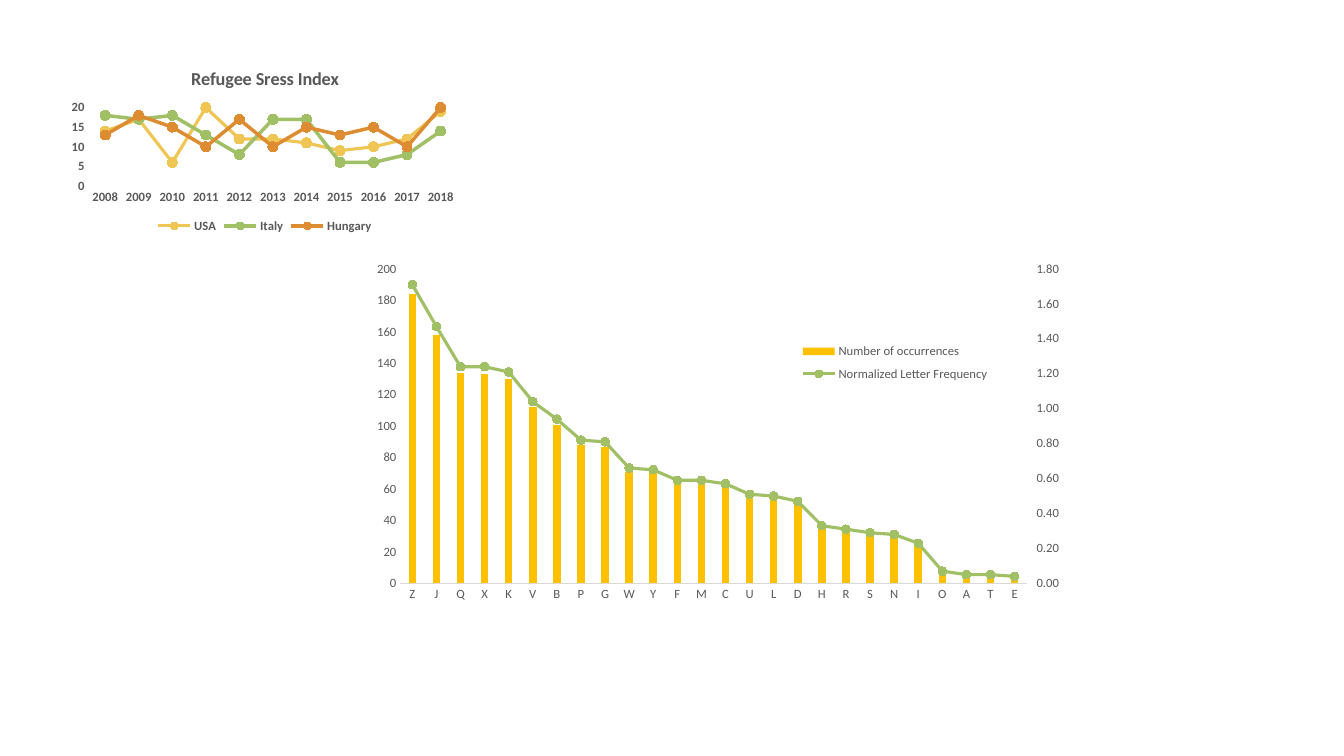
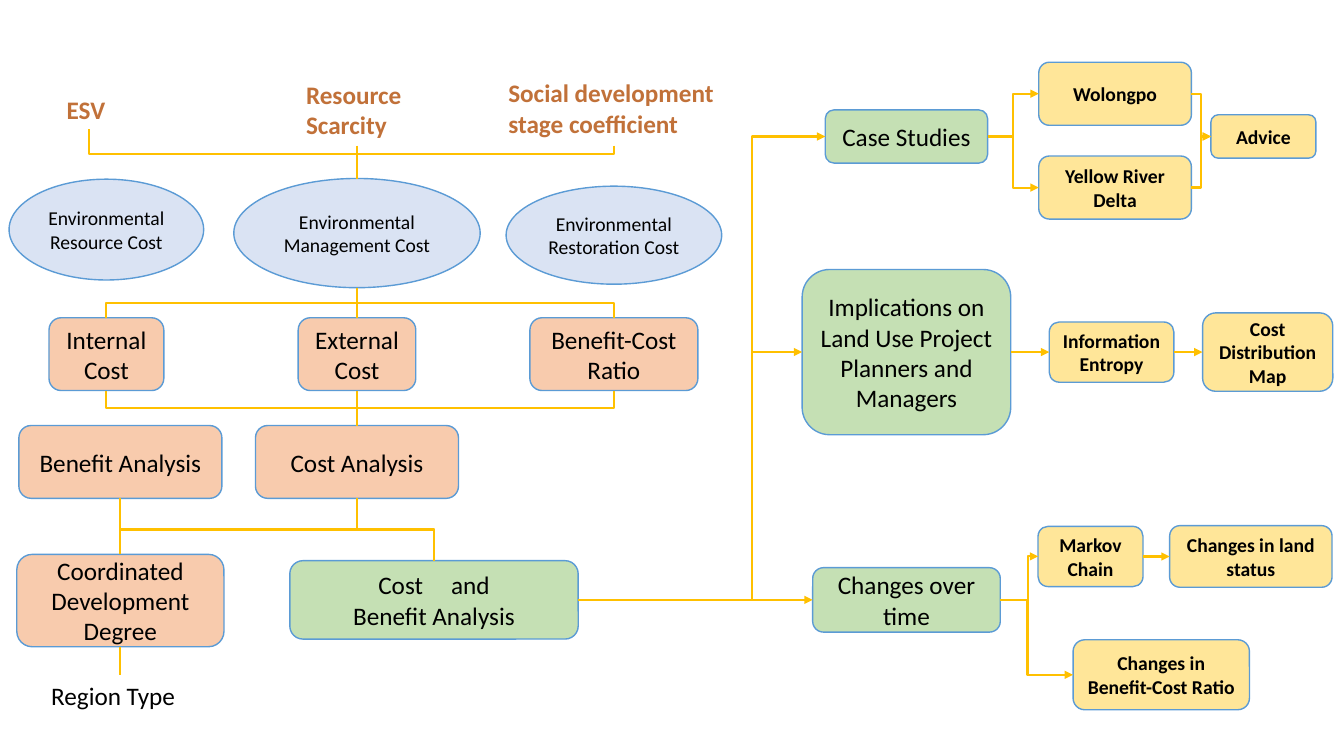
from copy import deepcopy

from lxml import etree
from pptx import Presentation
from pptx.chart.data import CategoryChartData
from pptx.dml.color import RGBColor
from pptx.enum.chart import XL_CHART_TYPE, XL_LEGEND_POSITION, XL_MARKER_STYLE, XL_TICK_MARK
from pptx.enum.shapes import MSO_CONNECTOR, MSO_SHAPE
from pptx.enum.text import MSO_ANCHOR, MSO_AUTO_SIZE, PP_ALIGN
from pptx.oxml import parse_xml
from pptx.oxml.ns import nsdecls, qn
from pptx.util import Pt

ELLIPSE, ROUNDED = MSO_SHAPE.OVAL, MSO_SHAPE.ROUNDED_RECTANGLE
STRAIGHT, ELBOW = MSO_CONNECTOR.STRAIGHT, MSO_CONNECTOR.ELBOW
STACKED, LINES = XL_CHART_TYPE.COLUMN_STACKED, XL_CHART_TYPE.LINE_MARKERS
TOP, LEFT, BOTTOM, RIGHT = range(4)
ELLIPSE_BOTTOM = 4
FONT = "Calibri"
COLORS = {
    "text": "000000", "chart text": "595959", "axis": "D9D9D9", "heading": "C17139",
    "outline": "5B9BD5", "link": "FFC000", "blue": "DAE3F3", "orange": "F8CBAD",
    "green": "C5E0B4", "yellow": "FFE699", "gold bar": "FFC000",
    "USA": "EFC653", "Italy": "A1BF64", "Hungary": "DD8C32",
}
RGB = {name: RGBColor.from_string(value) for name, value in COLORS.items()}


def style_font(font, size, color, bold=False):
    font.name = FONT
    font.size = Pt(size)
    font.bold = bold
    font.color.rgb = RGB[color]


def pin_layout(parent, position, x, y, w, h):
    for old in parent.findall(qn("c:layout")):
        parent.remove(old)
    target = '<c:layoutTarget val="inner"/>' if parent.tag == qn("c:plotArea") else ""
    parent.insert(position, parse_xml(
        f'<c:layout {nsdecls("c")}><c:manualLayout>{target}'
        '<c:xMode val="edge"/><c:yMode val="edge"/>'
        f'<c:x val="{x}"/><c:y val="{y}"/><c:w val="{w}"/><c:h val="{h}"/>'
        '</c:manualLayout></c:layout>'))


prs = Presentation()
prs.slide_width, prs.slide_height = Pt(960), Pt(540)
blank = prs.slide_layouts[6]

chart_slide = prs.slides.add_slide(blank)

letter_data = CategoryChartData()
letter_data.categories = list("ZJQXKVBPGWYFMCULDHRSNIOATE")
letter_data.add_series("Number of occurrences", [
    184, 158, 134, 133, 130, 112, 101, 88, 87, 71, 70, 64, 64,
    61, 55, 54, 51, 35, 33, 31, 30, 25, 8, 5, 5, 4])
letter_data.add_series("Normalized Letter Frequency", [
    1.71, 1.47, 1.24, 1.24, 1.21, 1.04, 0.94, 0.82, 0.81, 0.66, 0.65, 0.59, 0.59,
    0.57, 0.51, 0.5, 0.47, 0.33, 0.31, 0.29, 0.28, 0.23, 0.07, 0.05, 0.05, 0.04])

stress_data = CategoryChartData()
stress_data.categories = [str(year) for year in range(2008, 2019)]
stress_data.add_series("USA", [14, 17, 6, 20, 12, 12, 11, 9, 10, 12, 19])
stress_data.add_series("Italy", [18, 17, 18, 13, 8, 17, 17, 6, 6, 8, 14])
stress_data.add_series("Hungary", [13, 18, 15, 10, 17, 10, 15, 13, 15, 10, 20])

letters = chart_slide.shapes.add_chart(
    STACKED, Pt(260.5), Pt(182), Pt(508.5), Pt(252.5), letter_data).chart
stress = chart_slide.shapes.add_chart(
    LINES, Pt(46), Pt(39), Pt(286.5), Pt(130.5), stress_data).chart

for chart, bold, maximum, step, legend_place, plot_place in (
    (letters, False, 200, 20, XL_LEGEND_POSITION.RIGHT, (0.05, 0.04, 0.88, 0.89)),
    (stress, True, 20, 5, XL_LEGEND_POSITION.BOTTOM, (0.06, 0.29, 0.92, 0.43)),
):
    style_font(chart.font, 10, "text")
    chart.has_title = chart is stress
    chart.has_legend = True
    chart.legend.position = legend_place
    chart.legend.include_in_layout = chart is letters
    style_font(chart.legend.font, 9, "chart text", bold)
    for axis in (chart.category_axis, chart.value_axis):
        axis.has_major_gridlines = False
        axis.major_tick_mark = XL_TICK_MARK.NONE
        axis.format.line.fill.background()
        style_font(axis.tick_labels.font, 9, "chart text", bold)
    chart.value_axis.minimum_scale = 0
    chart.value_axis.maximum_scale = maximum
    chart.value_axis.major_unit = step
    chart.value_axis.tick_labels.number_format = "0"
    chart.value_axis.tick_labels.number_format_is_linked = False
    chart.plots[0].vary_by_categories = False
    pin_layout(chart._chartSpace.chart.plotArea, 0, *plot_place)

stress_title = stress.chart_title.text_frame
stress_title.text = "Refugee Sress Index"
style_font(stress_title.paragraphs[0].runs[0].font, 13, "chart text", True)

letters.category_axis.format.line.color.rgb = RGB["axis"]
letters.category_axis.format.line.width = Pt(0.75)
pin_layout(letters.legend._element, 1, 0.6, 0.23, 0.29, 0.15)

occurrences = letters.plots[0]
occurrences.gap_width = 219
occurrences.overlap = 100
occurrences.series[0].format.fill.solid()
occurrences.series[0].format.fill.fore_color.rgb = RGB["gold bar"]

frequency_plot = parse_xml(
    f'<c:lineChart {nsdecls("c")}><c:grouping val="standard"/><c:varyColors val="0"/>'
    '<c:marker val="1"/><c:axId val="50010"/><c:axId val="50020"/></c:lineChart>')
frequency = occurrences.series[1]._element
for inverted in frequency.findall(qn("c:invertIfNegative")):
    frequency.remove(inverted)
frequency_plot.insert(2, frequency)
occurrences._element.addnext(frequency_plot)

left_axis = letters.value_axis._element
right_axis = deepcopy(left_axis)
hidden_axis = deepcopy(letters.category_axis._element)
for axis, settings in (
    (right_axis, {"c:axId": "50020", "c:crossAx": "50010", "c:axPos": "r",
                  "c:crosses": "max", "c:majorTickMark": "out", "c:majorUnit": "0.2"}),
    (hidden_axis, {"c:axId": "50010", "c:crossAx": "50020", "c:delete": "1"}),
):
    for tag, value in settings.items():
        axis.find(qn(tag)).set("val", value)
right_axis.find(qn("c:scaling")).find(qn("c:max")).set("val", "1.8")
right_axis.find(qn("c:numFmt")).set("formatCode", "0.00")
left_axis.addnext(right_axis)
right_axis.addnext(hidden_axis)

usa, italy, hungary = stress.plots[0].series
for line, color, width, marker_size in (
    (letters.plots[1].series[0], "Italy", 2.25, 6),
    (usa, "USA", 2.25, 7),
    (italy, "Italy", 2.5, 7),
    (hungary, "Hungary", 2.5, 7),
):
    line.smooth = False
    line.format.line.color.rgb = RGB[color]
    line.format.line.width = Pt(width)
    line.marker.style = XL_MARKER_STYLE.CIRCLE
    line.marker.size = marker_size
    line.marker.format.fill.solid()
    line.marker.format.fill.fore_color.rgb = RGB[color]
    line.marker.format.line.color.rgb = RGB[color]

flow_slide = prs.slides.add_slide(blank)

COST_X, INTERNAL_X, RATIO_X, BENEFIT_X, TOPIC_X = 255, 76, 438.5, 86, 647.5
CASE_Y, PLANNER_Y, CHANGE_Y, MARKOV_Y = 97.5, 251.5, 428.5, 397.5

boxes = {
    "management": ("Environmental Management Cost", "blue", COST_X, 166.5, 176, 78),
    "restoration": ("Environmental Restoration Cost", "blue", RATIO_X, 168, 154, 70),
    "resource": ("Environmental Resource Cost", "blue", INTERNAL_X, 164, 139, 72),
    "external": ("External Cost", "orange", COST_X, 253, 84, 52),
    "internal": ("Internal Cost", "orange", INTERNAL_X, 253, 82, 52),
    "ratio": ("Benefit-Cost Ratio", "orange", RATIO_X, 253, 120, 52),
    "cost": ("Cost Analysis", "orange", COST_X, 330, 145, 52),
    "benefit": ("Benefit Analysis", "orange", BENEFIT_X, 330, 145, 52),
    "degree": ("Coordinated Development Degree", "orange", BENEFIT_X, 429, 148, 66),
    "both": ("Cost\nBenefit Analysis", "green", 310, CHANGE_Y, 206, 56),
    "cases": ("Case Studies", "green", TOPIC_X, CASE_Y, 116, 38),
    "planners": ("Implications on Land Use Project Planners and Managers",
                 "green", TOPIC_X, PLANNER_Y, 149, 118),
    "changes": ("Changes over time", "green", TOPIC_X, CHANGE_Y, 134, 46),
    "wolongpo": ("Wolongpo", "yellow", 796.5, 67, 109, 45),
    "delta": ("Yellow River Delta", "yellow", 796.5, 134, 109, 45),
    "advice": ("Advice", "yellow", 902.5, CASE_Y, 75, 31),
    "entropy": ("Information Entropy", "yellow", 794, PLANNER_Y, 89, 43),
    "map": ("Cost Distribution Map", "yellow", 905.5, PLANNER_Y, 93, 56),
    "markov": ("Markov\nChain", "yellow", 779, MARKOV_Y, 75, 43),
    "land": ("Changes in land status", "yellow", 893.5, MARKOV_Y, 116, 44),
    "ratio changes": ("Changes in Benefit-Cost Ratio", "yellow", 829.5, 482, 126, 50),
}
labels = {
    "social": ("Social development stage coefficient", "heading", RATIO_X, 78, 165, 52),
    "scarcity": ("Resource Scarcity", "heading", COST_X, 78.5, 87, 51),
    "esv": ("ESV", "heading", 63.5, 78, 46, 29),
    "region": ("Region Type", "text", BENEFIT_X, 497, 113, 29),
}

nodes = {}
for key, (text, color, x, y, w, h) in boxes.items():
    outline = ELLIPSE if color == "blue" else ROUNDED
    node = flow_slide.shapes.add_shape(outline, Pt(x - w / 2), Pt(y - h / 2), Pt(w), Pt(h))
    node.shadow.inherit = False
    node.fill.solid()
    node.fill.fore_color.rgb = RGB[color]
    node.line.color.rgb = RGB["outline"]
    node.line.width = Pt(1)
    node.text_frame.text = text
    node.text_frame.word_wrap = True
    node.text_frame.vertical_anchor = MSO_ANCHOR.MIDDLE
    for paragraph in node.text_frame.paragraphs:
        paragraph.alignment = PP_ALIGN.CENTER
        style_font(paragraph.runs[0].font, 14 if color in ("blue", "yellow") else 18,
                   "text", color == "yellow")
    nodes[key] = node

spread_line = nodes["both"].text_frame.paragraphs[0]
for word in (" ", "and"):
    spread_line._p.append(deepcopy(spread_line.runs[0]._r))
    spread_line.runs[-1].text = word
spread_line.runs[1]._r.get_or_add_rPr().set("spc", "1600")

for key, (text, color, x, y, w, h) in labels.items():
    label = flow_slide.shapes.add_textbox(Pt(x - w / 2), Pt(y - h / 2), Pt(w), Pt(h))
    label.text_frame.text = text
    label.text_frame.word_wrap = True
    label.text_frame.auto_size = MSO_AUTO_SIZE.SHAPE_TO_FIT_TEXT
    style_font(label.text_frame.paragraphs[0].runs[0].font, 18, color, color == "heading")
    nodes[key] = label

downward = [
    ("esv", "management", 110), ("scarcity", "management", None),
    ("social", "management", 110), ("management", "external", None),
    ("management", "ratio", None), ("management", "internal", None),
    ("internal", "cost", None), ("external", "cost", None), ("ratio", "cost", None),
    ("benefit", "degree", None), ("benefit", "both", None), ("cost", "both", None),
    ("degree", "region", None),
]
rightward = [
    ("both", "changes", None), ("both", "planners", 537), ("both", "cases", 537),
    ("cases", "wolongpo", None), ("cases", "delta", None),
    ("wolongpo", "advice", None), ("delta", "advice", None),
    ("planners", "entropy", None), ("entropy", "map", None),
    ("changes", "markov", 734), ("markov", "land", None), ("changes", "ratio changes", 734),
]
centers = {**boxes, **labels}

for source, target, bend, down in (
    [(*link, True) for link in downward] + [(*link, False) for link in rightward]
):
    start, end = nodes[source], nodes[target]
    across = 2 if down else 3
    aligned = centers[source][across] == centers[target][across]
    link = flow_slide.shapes.add_connector(STRAIGHT if aligned else ELBOW, 0, 0, 0, 0)
    link.begin_connect(start, BOTTOM if down else RIGHT)
    link.end_connect(end, TOP if down else LEFT)
    if source == "management":
        link._element.find(".//" + qn("a:stCxn")).set("idx", str(ELLIPSE_BOTTOM))
    properties = link._element.spPr
    x1, y1, x2, y2 = link.begin_x, link.begin_y, link.end_x, link.end_y
    if bend:
        first, last = (y1, y2) if down else (x1, x2)
        if not aligned:
            guide = etree.SubElement(properties.find(".//" + qn("a:avLst")), qn("a:gd"))
            guide.set("name", "adj1")
            guide.set("fmla", f"val {round((Pt(bend) - first) / (last - first) * 100000)}")
    if down and not aligned:
        run, drop = abs(x2 - x1), y2 - y1
        link.left, link.top = (x1 + x2 - drop) // 2, (y1 + y2 - run) // 2
        link.width, link.height = drop, run
        link.rotation = 270 if x2 > x1 else 90
        properties.find(qn("a:xfrm")).set("flipH", "1" if x2 > x1 else "0")
    link.line.color.rgb = RGB["link"]
    link.line.width = Pt(1.5)
    if not down:
        etree.SubElement(link.line._get_or_add_ln(), qn("a:tailEnd")).set("type", "triangle")
    etree.SubElement(properties, qn("a:effectLst"))

prs.save("out.pptx")
